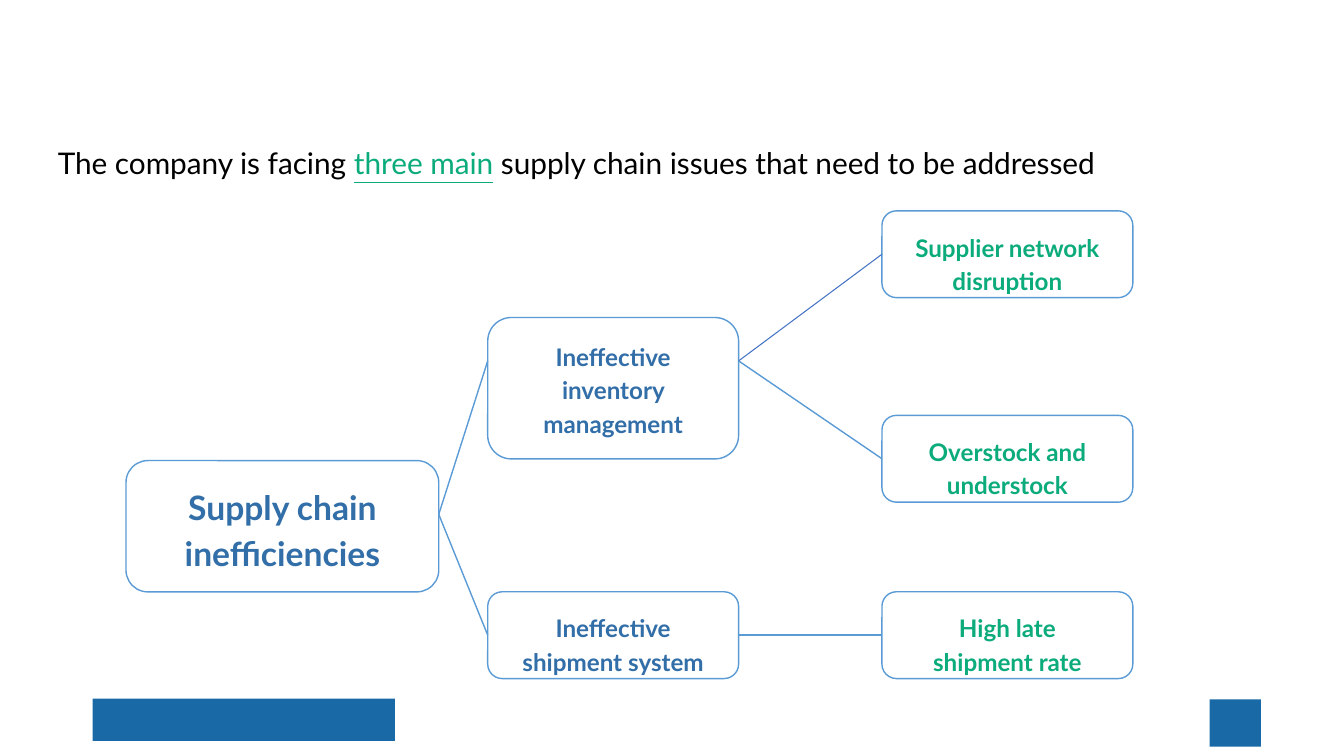
import pptx
import pptx.dml.color
import pptx.enum.shapes
import pptx.enum.text
import pptx.oxml
import pptx.util

Pt = pptx.util.Pt
ALIGN = pptx.enum.text.PP_ALIGN
COLORS = {
    "bar": "1869A6",
    "black": "000000",
    "green": "0CAB7C",
    "blue": "326EA8",
    "outline": "5B9BD5",
    "accent": "4472C4",
    "white": "FFFFFF",
}
CARD_W, CARD_H = 179.2, 62
ROOT_X, CAUSE_X, ISSUE_X = 90, 348.4, 630
ROOT_W = 223.4
CARDS = {
    "root": (ROOT_X, 329, ROOT_W, 93.8, ["Supply chain inefficiencies"], 24, "blue"),
    "inventory": (CAUSE_X, 226.8, CARD_W, 101, ["Ineffective inventory management"], 17.3, "blue"),
    "shipment": (CAUSE_X, 422.7, CARD_W, CARD_H, ["Ineffective shipment system"], 17.3, "blue"),
    "overstock": (ISSUE_X, 296.7, CARD_W, CARD_H, ["Overstock and understock"], 17.3, "green"),
    "supplier": (ISSUE_X, 150.6, CARD_W, CARD_H, ["Supplier network disruption"], 17.3, "green"),
    "late": (ISSUE_X, 422.7, CARD_W, CARD_H, ["High late", "shipment rate"], 17.3, "green"),
}
ATTACH_Y = {"root": 38.4}
LINKS = [
    ("inventory", "supplier", "accent", 0.75),
    ("inventory", "overstock", "outline", 1),
    ("shipment", "late", "outline", 1),
    ("root", "inventory", "outline", 1),
    ("root", "shipment", "outline", 1),
]
HEADING = [
    ("The company is facing ", "black", False),
    ("three main", "green", True),
    (" ", "green", False),
    ("supply chain issues that need to be addressed", "black", False),
]


def rgb(name):
    """Return the named colour."""
    return pptx.dml.color.RGBColor.from_string(COLORS[name])


def set_attrs(obj, values):
    """Set each attribute of an object from a dict."""
    for name, value in values.items():
        setattr(obj, name, value)


def place(sp, x, y, w, h):
    """Move and size a shape in points."""
    set_attrs(sp, {"left": Pt(x), "top": Pt(y), "width": Pt(w), "height": Pt(h)})


def format_frame(tf):
    """Give a text frame its insets, wrapping and anchor."""
    margins = {f"margin_{side}": Pt(9.6) for side in ("left", "right", "top", "bottom")}
    set_attrs(tf, margins | {
        "word_wrap": True,
        "auto_size": pptx.enum.text.MSO_AUTO_SIZE.NONE,
        "vertical_anchor": pptx.enum.text.MSO_ANCHOR.TOP,
    })


def format_paragraph(p, align):
    """Give a paragraph its alignment and spacing."""
    set_attrs(p, {"alignment": align, "line_spacing": 1.15,
                  "space_before": Pt(0), "space_after": Pt(0)})


def add_run(p, text, size, color, **values):
    """Add a formatted run to a paragraph."""
    r = p.add_run()
    r.text = text
    set_attrs(r.font, {"name": "Lato", "size": Pt(size)} | values)
    r.font.color.rgb = rgb(color)


def add_bar(s, x, y, w, h):
    """Add a solid footer block."""
    sp = s.shapes.add_shape(pptx.enum.shapes.MSO_SHAPE.RECTANGLE, Pt(x), Pt(y), Pt(w), Pt(h))
    sp.shadow.inherit = False
    sp.fill.solid()
    sp.fill.fore_color.rgb = rgb("bar")
    sp.line.fill.background()


def add_heading(s):
    """Fill the title placeholder with the heading."""
    sp = s.shapes.title
    place(sp, 31.7, 90, 887, 66.2)
    format_frame(sp.text_frame)
    p = sp.text_frame.paragraphs[0]
    format_paragraph(p, ALIGN.LEFT)
    for text, color, underline in HEADING:
        add_run(p, text, 21.3, color, underline=underline)


def add_card(s, x, y, w, h, lines, size, color):
    """Add a rounded card of the issue tree."""
    sp = s.shapes.add_shape(pptx.enum.shapes.MSO_SHAPE.ROUNDED_RECTANGLE,
                            Pt(x), Pt(y), Pt(w), Pt(h))
    sp.shadow.inherit = False
    sp.fill.solid()
    sp.fill.fore_color.rgb = rgb("white")
    sp.line.color.rgb = rgb("outline")
    sp.line.width = Pt(1)
    tf = sp.text_frame
    format_frame(tf)
    for i, line in enumerate(lines):
        p = tf.add_paragraph() if i else tf.paragraphs[0]
        format_paragraph(p, ALIGN.CENTER)
        add_run(p, line, size, color, bold=True)


def add_link(s, parent, child, color, width):
    """Join a parent card to a child card."""
    x1, y1, w1 = CARDS[parent][:3]
    x2, y2 = CARDS[child][:2]
    y1 += ATTACH_Y.get(parent, CARD_H / 2)
    y2 += ATTACH_Y.get(child, CARD_H / 2)
    sp = s.shapes.add_connector(pptx.enum.shapes.MSO_CONNECTOR.STRAIGHT,
                                Pt(x1 + w1), Pt(y1), Pt(x2), Pt(y2))
    sp.line.color.rgb = rgb(color)
    sp.line.width = Pt(width)
    effects = pptx.oxml.parse_xml(
        '<a:effectLst xmlns:a="http://schemas.openxmlformats.org/drawingml/2006/main"/>')
    sp._element.spPr.append(effects)


def main():
    """Build the supply chain issue tree slide."""
    prs = pptx.Presentation()
    set_attrs(prs, {"slide_width": Pt(960), "slide_height": Pt(540)})
    s = prs.slides.add_slide(prs.slide_layouts[5])
    add_bar(s, 66.2, 499, 216, 30.2)
    add_bar(s, 864, 499.5, 36.7, 33.8)
    add_heading(s)
    for card in CARDS.values():
        add_card(s, *card)
    for link in LINKS:
        add_link(s, *link)
    prs.save("out.pptx")


if __name__ == "__main__":
    main()
